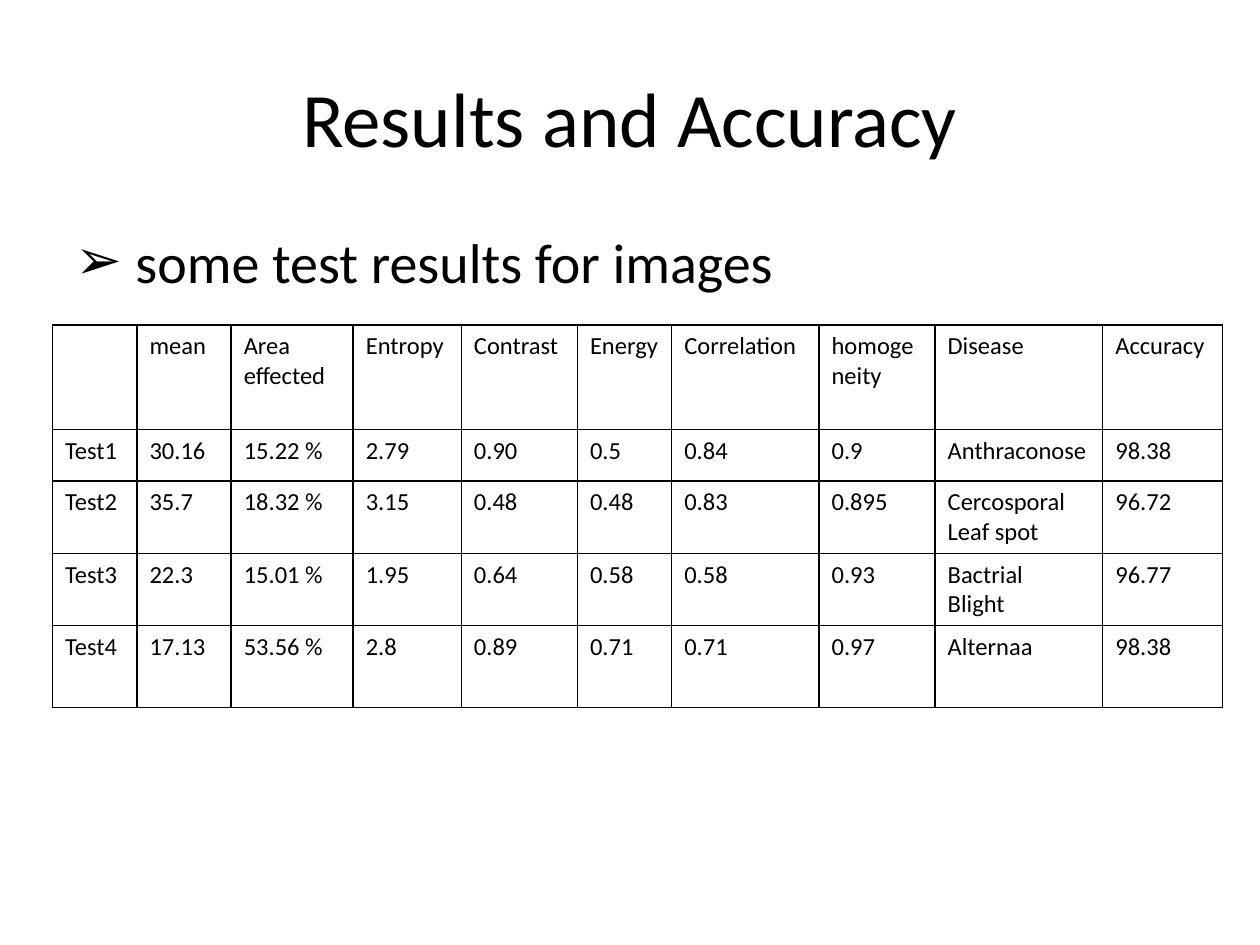
"""Build the results slide: a title, one bullet and a table of test measurements."""
from dataclasses import dataclass

from lxml import etree
from pptx import Presentation
from pptx import util as u
from pptx.dml.color import RGBColor
from pptx.enum import text
from pptx.oxml.ns import qn


@dataclass(frozen=True)
class Theme:
    font: str = "Calibri"
    ink: str = "000000"
    title_size: int = 44
    body_size: int = 32
    table_size: int = 14
    border_width: int = 1


MEASUREMENTS = [
    ["", "mean", "Area effected", "Entropy", "Contrast", "Energy",
     "Correlation", "homogeneity", "Disease", "Accuracy"],
    ["Test1", "30.16", "15.22 %", "2.79", "0.90", "0.5",
     "0.84", "0.9", "Anthraconose", "98.38"],
    ["Test2", "35.7", "18.32 %", "3.15", "0.48", "0.48",
     "0.83", "0.895", "Cercosporal Leaf spot", "96.72"],
    ["Test3", "22.3", "15.01 %", "1.95", "0.64", "0.58",
     "0.58", "0.93", "Bactrial\nBlight", "96.77"],
    ["Test4", "17.13", "53.56 %", "2.8", "0.89", "0.71",
     "0.71", "0.97", "Alternaa", "98.38"],
]
COLUMN_WIDTHS = [1.7, 1.9, 2.46, 2.18, 2.34, 1.9, 2.97, 2.34, 3.38, 2.41]
ROW_HEIGHTS = [2.11, 1.04, 1.04, 1.04, 1.65]


def set_text(frame, wording, *, font, size, color, align=None, anchor=None):
    frame.text = wording
    if anchor is not None:
        frame.vertical_anchor = anchor
    for paragraph in frame.paragraphs:
        paragraph.alignment = align
        for run in paragraph.runs:
            run.font.name = font
            run.font.size = u.Pt(size)
            run.font.color.rgb = RGBColor.from_string(color)


def place(item, left, top, width, height):
    item.left, item.top = u.Cm(left), u.Cm(top)
    item.width, item.height = u.Cm(width), u.Cm(height)


class ResultsSlide:
    def __init__(self, deck, theme):
        self.theme = theme
        self.slide = deck.slides.add_slide(deck.slide_layouts[1])

    def fill_in(self, frame, wording, size, **layout):
        set_text(frame, wording, font=self.theme.font, size=size,
                 color=self.theme.ink, **layout)

    def title(self, wording, *area):
        heading = self.slide.shapes.title
        place(heading, *area)
        self.fill_in(heading.text_frame, wording, self.theme.title_size,
                     align=text.PP_ALIGN.CENTER, anchor=text.MSO_ANCHOR.MIDDLE)

    def bullets(self, wording, *area, mark="➢", indent=0.95):
        points = self.slide.placeholders[1]
        place(points, *area)
        self.fill_in(points.text_frame, wording, self.theme.body_size)
        for paragraph in points.text_frame.paragraphs:
            properties = paragraph._p.get_or_add_pPr()
            properties.set("marL", str(u.Cm(indent)))
            properties.set("indent", str(-u.Cm(indent)))
            etree.SubElement(properties, qn("a:buFont"), typeface=self.theme.font)
            etree.SubElement(properties, qn("a:buChar"), char=mark)

    def table(self, rows, widths, heights, left, top):
        grid = self.slide.shapes.add_table(
            len(rows), len(widths), u.Cm(left), u.Cm(top),
            u.Cm(sum(widths)), u.Cm(sum(heights))).table
        grid.first_row = grid.horz_banding = False
        for column, width in zip(grid.columns, widths):
            column.width = u.Cm(width)
        for row, height, wordings in zip(grid.rows, heights, rows):
            row.height = u.Cm(height)
            for cell, wording in zip(row.cells, wordings):
                self.fill_in(cell.text_frame, wording, self.theme.table_size)
                cell.fill.background()
                self.border(cell)

    def border(self, cell):
        properties = cell._tc.get_or_add_tcPr()
        for position, side in enumerate(("lnL", "lnR", "lnT", "lnB")):
            line = etree.Element(qn(f"a:{side}"),
                                 w=str(u.Pt(self.theme.border_width)))
            fill = etree.SubElement(line, qn("a:solidFill"))
            etree.SubElement(fill, qn("a:srgbClr"), val=self.theme.ink)
            properties.insert(position, line)


def main():
    deck = Presentation()
    deck.slide_width, deck.slide_height = u.Cm(25.4), u.Cm(19.05)
    results = ResultsSlide(deck, Theme())
    results.title("Results and Accuracy", 1.27, 0.76, 22.86, 3.18)
    results.bullets(" some test results for images", 1.27, 4.45, 22.86, 12.57)
    results.table(MEASUREMENTS, COLUMN_WIDTHS, ROW_HEIGHTS, 1.06, 6.55)
    deck.save("out.pptx")


if __name__ == "__main__":
    main()
